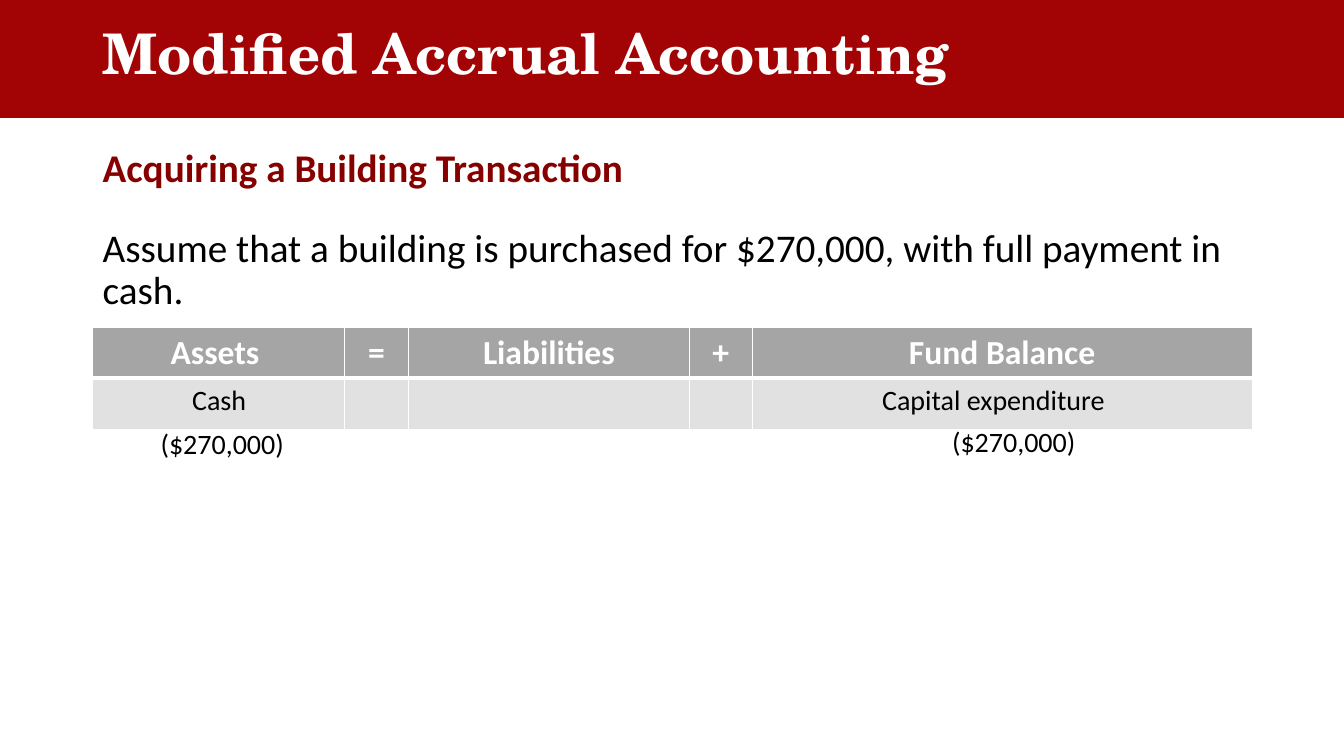
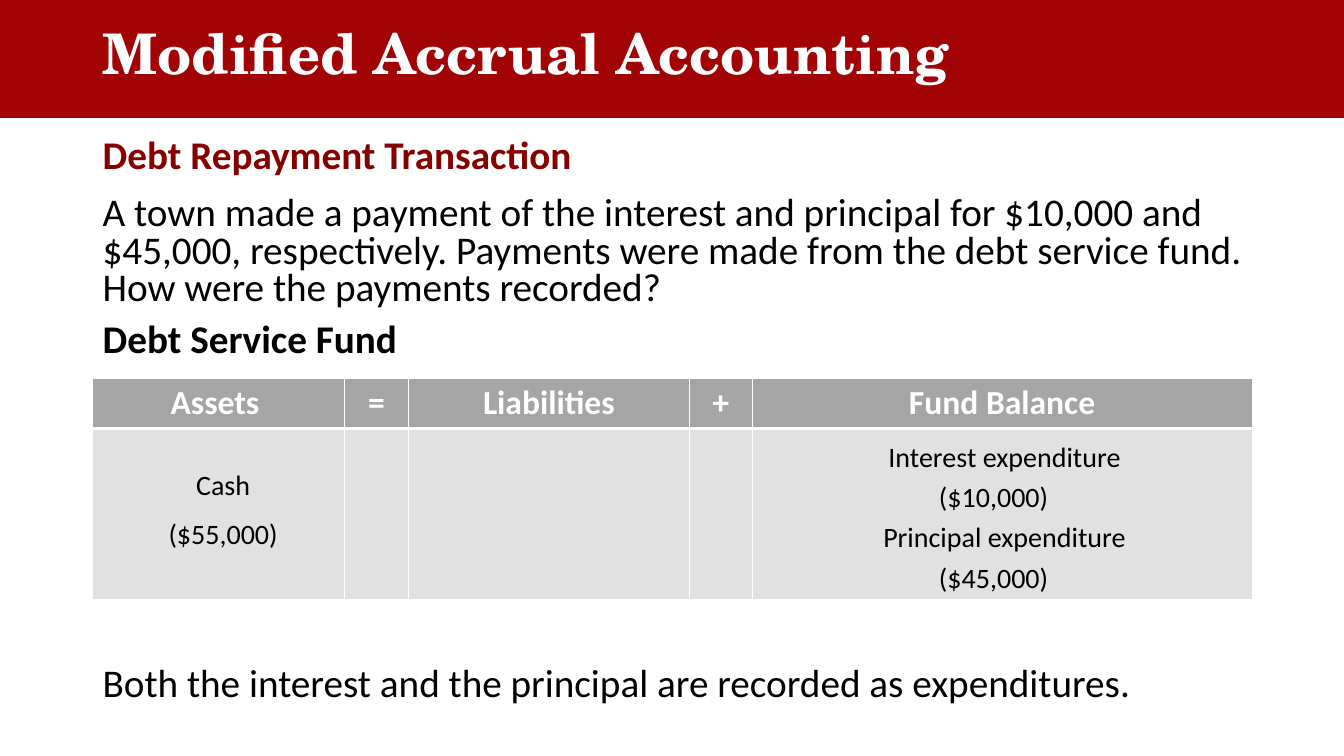
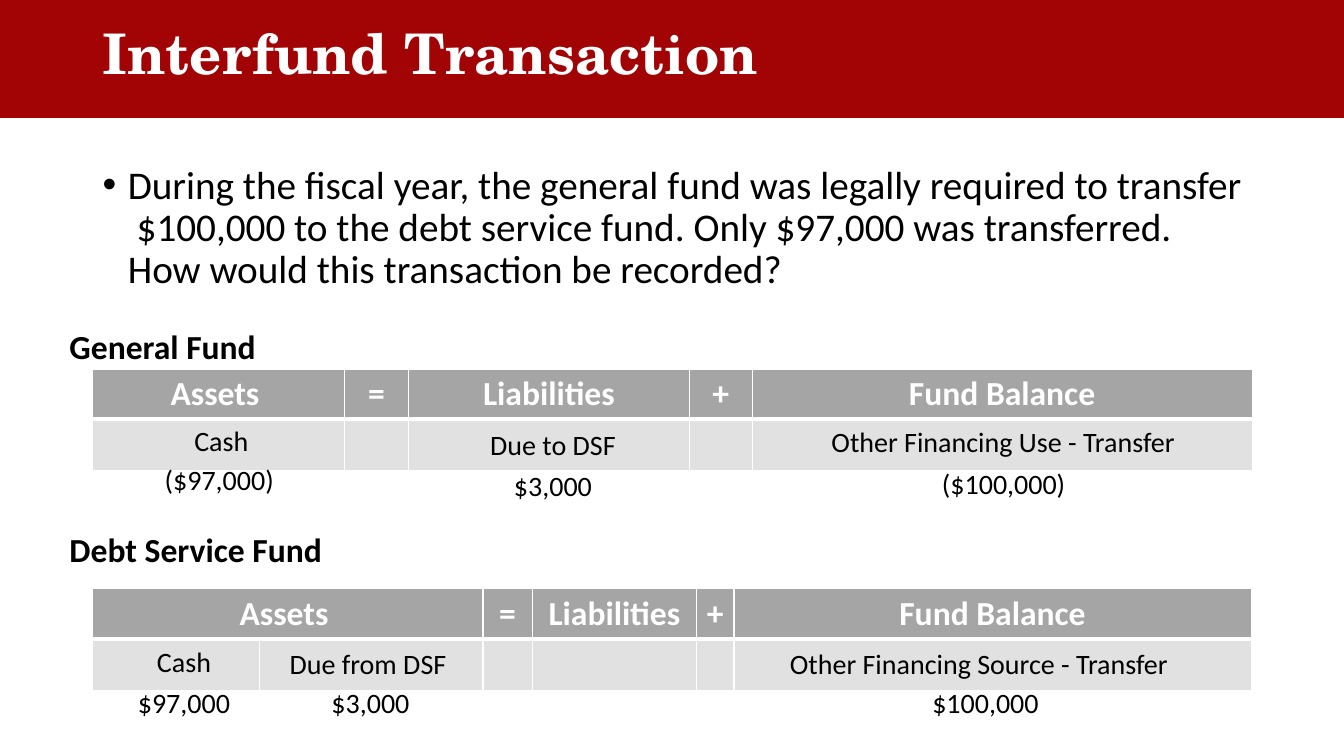
from dataclasses import dataclass

import pptx
import pptx.dml.color
import pptx.enum.shapes
import pptx.enum.text
import pptx.oxml.ns
import pptx.util
from lxml import etree
from pptx.util import Inches

RGBColor = pptx.dml.color.RGBColor
ALIGN = pptx.enum.text.PP_ALIGN
ANCHOR = pptx.enum.text.MSO_ANCHOR

# Colours, fonts and text formats
BAND_RED = RGBColor(0xA2, 0x03, 0x05)
HEADING_RED = RGBColor(0x87, 0x00, 0x00)
HEADER_GRAY = RGBColor(0xA5, 0xA5, 0xA5)
BODY_GRAY = RGBColor(0xE1, 0xE1, 0xE1)
WHITE = RGBColor(0xFF, 0xFF, 0xFF)
BLACK = RGBColor(0x00, 0x00, 0x00)
BODY_FONT = "Calibri"
TITLE_FONT = "TeX Gyre Schola"


def text_format(size: int, color: RGBColor = BLACK, bold: bool = False,
                name: str = BODY_FONT) -> dict:
    return {"size": pptx.util.Pt(size), "color": color, "bold": bold, "name": name}


TITLE = text_format(40, WHITE, True, TITLE_FONT)
HEADING = text_format(28, HEADING_RED, True)
BODY = text_format(28)
BODY_BOLD = text_format(28, bold=True)
FUND_NAME = text_format(24, bold=True)
TABLE_HEADER = text_format(24, WHITE, True)
ENTRY = text_format(20)

# Shared measures in inches
SLIDE_WIDTH, SLIDE_HEIGHT = 13.33, 7.5
MARGIN, CONTENT_WIDTH = 0.92, 11.5
TITLE_HEIGHT = 1.45
HEADER_HEIGHT = 0.5
ENTRY_HEIGHT = 0.44


@dataclass(frozen=True)
class Entry:
    """A centred account name or amount laid over an equation table."""
    text: str
    left: float
    top: float
    width: float = 1.65


@dataclass(frozen=True)
class Equation:
    """An accounting equation table; each header covers one or more columns."""
    top: float
    body_height: float = 0.51
    columns: tuple[float, ...] = (2.5, 0.63, 2.79, 0.62, 4.96)
    spans: tuple[int, ...] = (1, 1, 1, 1, 1)


@dataclass(frozen=True)
class TextBlock:
    """One or more (text, format) paragraphs in a text box."""
    paragraphs: tuple[tuple[str, dict], ...]
    top: float
    height: float
    left: float = MARGIN
    width: float = CONTENT_WIDTH
    line_spacing: float = 0.9
    anchor: ANCHOR = ANCHOR.TOP
    align: ALIGN = ALIGN.LEFT
    bullet: bool = False


@dataclass(frozen=True)
class SlideContent:
    title: str
    blocks: tuple[TextBlock, ...]
    equations: tuple[Equation, ...]
    entries: tuple[Entry, ...]


HEADERS = ("Assets ", "=", "Liabilities", "+", "Fund Balance")


def heading(text: str, top: float) -> TextBlock:
    return TextBlock(((text, HEADING),), top, TITLE_HEIGHT, anchor=ANCHOR.MIDDLE)


def fund_name(text: str, top: float) -> TextBlock:
    return TextBlock(((text, FUND_NAME),), top, 0.5, 0.59, 2.82, 1.0)


# Slide contents
SLIDES = (
    SlideContent(
        "Modified Accrual Accounting",
        (
            heading("Acquiring a Building Transaction", 0.96),
            TextBlock((("Assume that a building is purchased for $270,000, "
                        "with full payment in cash.", BODY),), 2.22, 1.0),
        ),
        (Equation(3.25),),
        (
            Entry("Cash ", 1.38, 3.75),
            Entry("($270,000)", 1.38, 4.18),
            Entry("Capital expenditure ", 8.4, 3.75, 2.97),
            Entry("($270,000)", 9.23, 4.16),
        ),
    ),
    SlideContent(
        "Modified Accrual Accounting",
        (
            heading("Debt Repayment Transaction", 0.83),
            TextBlock((
                ("A town made a payment of the interest and principal for $10,000 "
                 "and $45,000, respectively. Payments were made from the debt "
                 "service fund. How were the payments recorded?", BODY),
                ("Debt Service Fund", BODY_BOLD),
            ), 1.9, 1.7, line_spacing=0.8),
            TextBlock((("Both the interest and the principal are recorded "
                        "as expenditures.", BODY),), 6.57, 0.48, line_spacing=0.8),
        ),
        (Equation(3.75, 1.7),),
        (
            Entry("Cash ", 1.42, 4.59),
            Entry("($55,000) ", 1.42, 5.07),
            Entry("Interest expenditure ", 8.53, 4.31, 2.93),
            Entry("($10,000)", 9.03, 4.71),
            Entry("Principal expenditure ", 8.53, 5.1, 2.93),
            Entry("($45,000)", 8.39, 5.51, 2.93),
        ),
    ),
    SlideContent(
        "Interfund Transaction",
        (
            TextBlock((("During the fiscal year, the general fund was legally "
                        "required to transfer  $100,000 to the debt service fund. "
                        "Only $97,000 was transferred. How would this transaction "
                        "be recorded?", BODY),), 1.59, 1.4, bullet=True),
            fund_name("General Fund", 3.18),
            fund_name("Debt Service Fund", 5.2),
        ),
        (
            Equation(3.66),
            Equation(5.84, columns=(1.65, 2.22, 0.49, 1.63, 0.37, 5.13),
                     spans=(2, 1, 1, 1, 1)),
        ),
        (
            Entry("Cash", 1.37, 4.15),
            Entry("($97,000)", 1.35, 4.54),
            Entry("Due to DSF", 4.66, 4.19),
            Entry("$3,000", 4.66, 4.6),
            Entry("Other Financing Use - Transfer", 7.94, 4.16, 4.02),
            Entry("($100,000)", 9.13, 4.58),
            Entry("Cash", 1, 6.34),
            Entry("$97,000", 1, 6.75),
            Entry("Due from DSF", 2.65, 6.36, 2),
            Entry("$3,000", 2.85, 6.75),
            Entry("Other Financing Source - Transfer", 7.64, 6.36, 4.14),
            Entry("$100,000", 8.95, 6.75),
        ),
    ),
)


def write_run(paragraph, text: str, values: dict) -> None:
    run = paragraph.add_run()
    run.text = text
    for name, value in values.items():
        if name == "color":
            run.font.color.rgb = value
        else:
            setattr(run.font, name, value)


def add_bullet(paragraph) -> None:
    properties = paragraph._p.get_or_add_pPr()
    properties.set("marL", str(Inches(0.25)))
    properties.set("indent", str(-Inches(0.25)))
    for tag, name, value in (("a:buFont", "typeface", "Arial"),
                             ("a:buChar", "char", "•")):
        etree.SubElement(properties, pptx.oxml.ns.qn(tag)).set(name, value)


def add_text_block(slide, block: TextBlock) -> None:
    box = slide.shapes.add_textbox(Inches(block.left), Inches(block.top),
                                   Inches(block.width), Inches(block.height))
    frame = box.text_frame
    frame.word_wrap = True
    frame.vertical_anchor = block.anchor
    for index, (text, values) in enumerate(block.paragraphs):
        paragraph = frame.add_paragraph() if index else frame.paragraphs[0]
        if block.bullet:
            add_bullet(paragraph)
        if index:
            paragraph.space_before = pptx.util.Pt(10)
        paragraph.line_spacing = block.line_spacing
        paragraph.alignment = block.align
        write_run(paragraph, text, values)


def add_entry(slide, entry: Entry) -> None:
    add_text_block(slide, TextBlock(((entry.text, ENTRY),), entry.top, ENTRY_HEIGHT,
                                    entry.left, entry.width, 1.0, align=ALIGN.CENTER))


def style_cell(cell, fill: RGBColor, top: int, bottom: int) -> None:
    """Set white borders (widths in points), then the fill."""
    properties = cell._tc.get_or_add_tcPr()
    for side, points in (("L", 1), ("R", 1), ("T", top), ("B", bottom)):
        line = etree.SubElement(properties, pptx.oxml.ns.qn(f"a:ln{side}"))
        line.set("w", str(pptx.util.Pt(points)))
        solid = etree.SubElement(line, pptx.oxml.ns.qn("a:solidFill"))
        etree.SubElement(solid, pptx.oxml.ns.qn("a:srgbClr")).set("val", str(WHITE))
    cell.fill.solid()
    cell.fill.fore_color.rgb = fill


def add_equation(slide, equation: Equation) -> None:
    heights = (HEADER_HEIGHT, equation.body_height)
    table = slide.shapes.add_table(
        2, len(equation.columns), Inches(MARGIN), Inches(equation.top),
        Inches(sum(equation.columns)), Inches(sum(heights))).table
    table.horz_banding = False
    for column, width in zip(table.columns, equation.columns):
        column.width = Inches(width)
    for row, height in zip(table.rows, heights):
        row.height = Inches(height)
    for index in range(len(equation.columns)):
        style_cell(table.cell(0, index), HEADER_GRAY, 1, 3)
        style_cell(table.cell(1, index), BODY_GRAY, 3, 1)
    start = 0
    for text, span in zip(HEADERS, equation.spans):
        cell = table.cell(0, start)
        if span > 1:
            cell.merge(table.cell(0, start + span - 1))
        paragraph = cell.text_frame.paragraphs[0]
        paragraph.alignment = ALIGN.CENTER
        write_run(paragraph, text, TABLE_HEADER)
        start += span


def add_title_band(slide, title: str) -> None:
    band = slide.shapes.add_shape(
        pptx.enum.shapes.MSO_SHAPE.RECTANGLE, Inches(0), Inches(-0.29),
        Inches(SLIDE_WIDTH), Inches(TITLE_HEIGHT))
    band.shadow.inherit = False
    band.fill.solid()
    band.fill.fore_color.rgb = BAND_RED
    band.line.color.rgb = BAND_RED
    band.line.width = pptx.util.Pt(1)
    add_text_block(slide, TextBlock(((title, TITLE),), -0.17, TITLE_HEIGHT,
                                    anchor=ANCHOR.MIDDLE))


def main() -> None:
    presentation = pptx.Presentation()
    presentation.slide_width = Inches(SLIDE_WIDTH)
    presentation.slide_height = Inches(SLIDE_HEIGHT)
    for content in SLIDES:
        slide = presentation.slides.add_slide(presentation.slide_layouts[6])
        add_title_band(slide, content.title)
        for block in content.blocks:
            add_text_block(slide, block)
        for equation in content.equations:
            add_equation(slide, equation)
        for entry in content.entries:
            add_entry(slide, entry)
    presentation.save("out.pptx")


if __name__ == "__main__":
    main()
